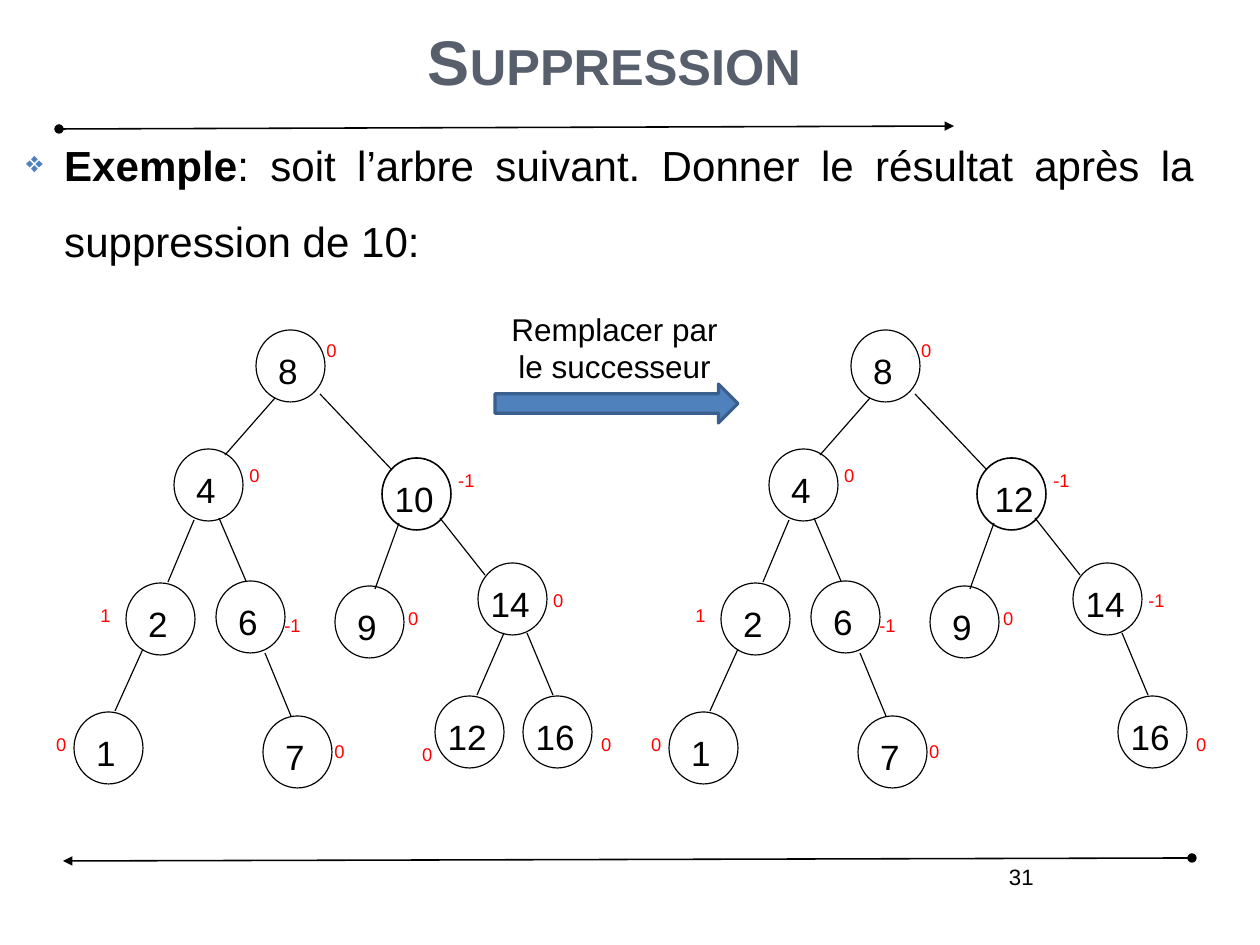
from lxml.etree import SubElement
from pptx import Presentation
from pptx.dml.color import RGBColor
from pptx.enum.shapes import MSO_CONNECTOR as CONN, MSO_SHAPE as SHAPE
from pptx.enum.text import MSO_ANCHOR as ANCHOR, MSO_AUTO_SIZE as FIT, PP_ALIGN as ALIGN
from pptx.oxml.ns import qn
from pptx.util import Emu, Pt

PX = 8000  # EMU in one px
BLACK, RED, BLUE, NAVY, GREY = "000000", "FF0000", "4F81BD", "3A5F8C", "575F6D"
NODE_W, NODE_H = 69, 72
DIGIT_W = 20
TREE_STEP = 595

# value: (x, y, balance, balance x, balance y, edge from the parent)
TREE = {
    "8": (256, 330, "0", 315, 334, None),
    "4": (174, 449, "0", 238, 459, (275, 398, 225, 455)),
    "10": (382, 458, "-1", 447, 464, (320, 394, 392, 470)),
    "2": (126, 583, "1", 89, 599, (194, 520, 168, 582)),
    "6": (216, 581, "-1", 273, 609, (219, 518, 246, 581)),
    "9": (335, 586, "0", 397, 601, (399, 523, 375, 589)),
    "14": (478, 563, "0", 542, 584, (440, 518, 485, 575)),
    "1": (74, 712, "0", 45, 728, (143, 649, 115, 711)),
    "7": (263, 716, "0", 323, 735, (265, 653, 291, 716)),
    "12": (435, 696, "0", 411, 738, (504, 633, 477, 695)),
    "16": (523, 696, "0", 590, 728, (527, 633, 553, 695)),
}


def px(*values):
    return [Emu(v * PX) for v in values]


def rgb(color):
    return RGBColor.from_string(color)


class Deck:
    font = "Arial"

    def __init__(self, width, height):
        self.prs = Presentation()
        self.prs.slide_width, self.prs.slide_height = px(width, height)

    def add_slide(self):
        self.slide = self.prs.slides.add_slide(self.prs.slide_layouts[5])

    def style(self, r, size, color, bold=False):
        r.font.name, r.font.size, r.font.bold = self.font, Pt(size), bold
        r.font.color.rgb = rgb(color)

    def title(self, text, x, y, w, h):
        s = self.slide.shapes.title
        s.left, s.top, s.width, s.height = px(x, y, w, h)
        tf = s.text_frame
        tf.text = text
        tf.auto_size, tf.vertical_anchor = FIT.NONE, ANCHOR.BOTTOM
        p = tf.paragraphs[0]
        p.alignment, p.line_spacing = ALIGN.CENTER, 1.5
        self.style(p.runs[0], 39.7, GREY, True)
        p.runs[0].font._element.set("cap", "small")

    def text(self, text, x, y, w, h, size, color=BLACK, align=ALIGN.LEFT,
             wrap=True, inset=True):
        tf = self.slide.shapes.add_textbox(*px(x, y, w, h)).text_frame
        tf.word_wrap = wrap
        if not wrap:
            tf.auto_size = FIT.SHAPE_TO_FIT_TEXT
        if not inset:
            tf.margin_left = tf.margin_right = tf.margin_top = tf.margin_bottom = 0
        p = tf.paragraphs[0]
        p.text, p.alignment = text, align
        self.style(p.runs[0], size, color)
        return p

    def bullet(self, lead, rest, x, y, w, h):
        """Justified bullet paragraph that opens with a bold word."""
        p = self.text(lead, x, y, w, h, 26.5, align=ALIGN.JUSTIFY)
        p.runs[0].font.bold = True
        r = p.add_run()
        r.text = rest
        self.style(r, 26.5, BLACK)
        p.line_spacing, p.space_before = 1.5, Pt(6.6)
        pPr = p._p.get_or_add_pPr()
        pPr.set("marL", str(38 * PX))
        pPr.set("indent", str(-38 * PX))
        SubElement(SubElement(pPr, qn("a:buClr")), qn("a:srgbClr"), val=BLUE)
        SubElement(pPr, qn("a:buSzPct"), val="70000")
        SubElement(pPr, qn("a:buChar"), char="❖")

    def line(self, x1, y1, x2, y2, width=0.75, arrow=False):
        """Straight line; with arrow, a dot at the start and a triangle at the end."""
        s = self.slide.shapes.add_connector(CONN.STRAIGHT, *px(x1, y1, x2, y2))
        s.line.color.rgb, s.line.width = rgb(BLACK), Pt(width)
        if arrow:
            ln = s.line._get_or_add_ln()
            SubElement(ln, qn("a:headEnd"), type="oval")
            SubElement(ln, qn("a:tailEnd"), type="triangle")
        SubElement(s._element.spPr, qn("a:effectLst"))

    def shape(self, kind, x, y, w, h, line, width, fill=None):
        s = self.slide.shapes.add_shape(kind, *px(x, y, w, h))
        s.shadow.inherit = False
        s.line.color.rgb, s.line.width = rgb(line), Pt(width)
        if fill:
            s.fill.solid()
            s.fill.fore_color.rgb = rgb(fill)
        else:
            s.fill.background()

    def node(self, value, x, y, width=0.75, nudge=0):
        self.shape(SHAPE.OVAL, x, y, NODE_W, NODE_H, BLACK, width)
        w = DIGIT_W * len(value)
        self.text(value, x + 32 - w // 2 + nudge, y + 19, w, 42, 22.1,
                  align=ALIGN.CENTER, wrap=False, inset=False)

    def tree(self, nodes, dx, heavy, nudge=0):
        """Draw nodes moved right by dx; heavy names the node with the thicker outline."""
        for value, (x, y, balance, bx, by, edge) in nodes.items():
            if edge:
                x1, y1, x2, y2 = edge
                self.line(x1 + dx, y1, x2 + dx, y2)
            if value == heavy:
                self.node(value, x + dx, y, 1, nudge)
            else:
                self.node(value, x + dx, y)
            self.text(balance, bx + dx, by, 26 + 7 * len(balance), 34, 11.6,
                      RED, wrap=False)


def without_ten():
    """The tree once 10 has been replaced by its successor 12."""
    nodes = dict(TREE)
    nodes["12"] = nodes.pop("10")
    x, y, _, bx, by, edge = nodes["14"]
    nodes["14"] = (x, y, "-1", bx, by, edge)
    return nodes


def main():
    deck = Deck(1260, 945)
    deck.add_slide()
    deck.line(59, 129, 954, 126, 1, arrow=True)
    deck.text("31", 751, 858, 294, 65, 14, align=ALIGN.RIGHT)
    deck.line(1192, 858, 63, 861, 1, arrow=True)
    deck.title("Suppression", 63, -103, 1103, 207)
    deck.bullet("Exemple", ": soit l’arbre suivant. Donner le résultat après la "
                "suppression de 10:", 15, 109, 1191, 837)
    deck.tree(TREE, 0, "10")
    deck.tree(without_ten(), TREE_STEP, "12", nudge=5)
    deck.shape(SHAPE.RIGHT_ARROW, 495, 384, 243, 39, NAVY, 2, BLUE)
    deck.text("Remplacer par le successeur", 491, 304, 247, 88, 19.8,
              align=ALIGN.CENTER)
    deck.prs.save("out.pptx")


if __name__ == "__main__":
    main()
